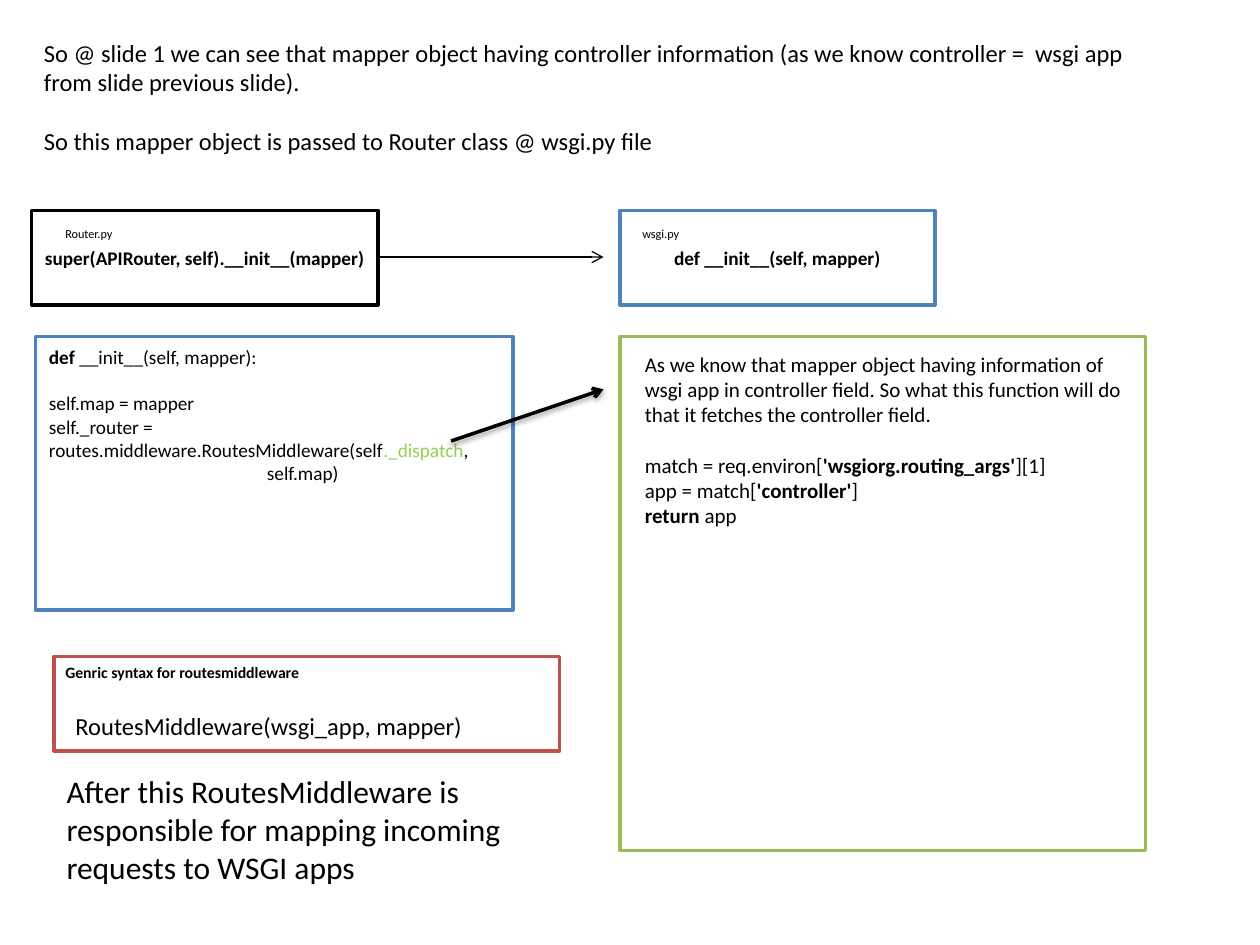
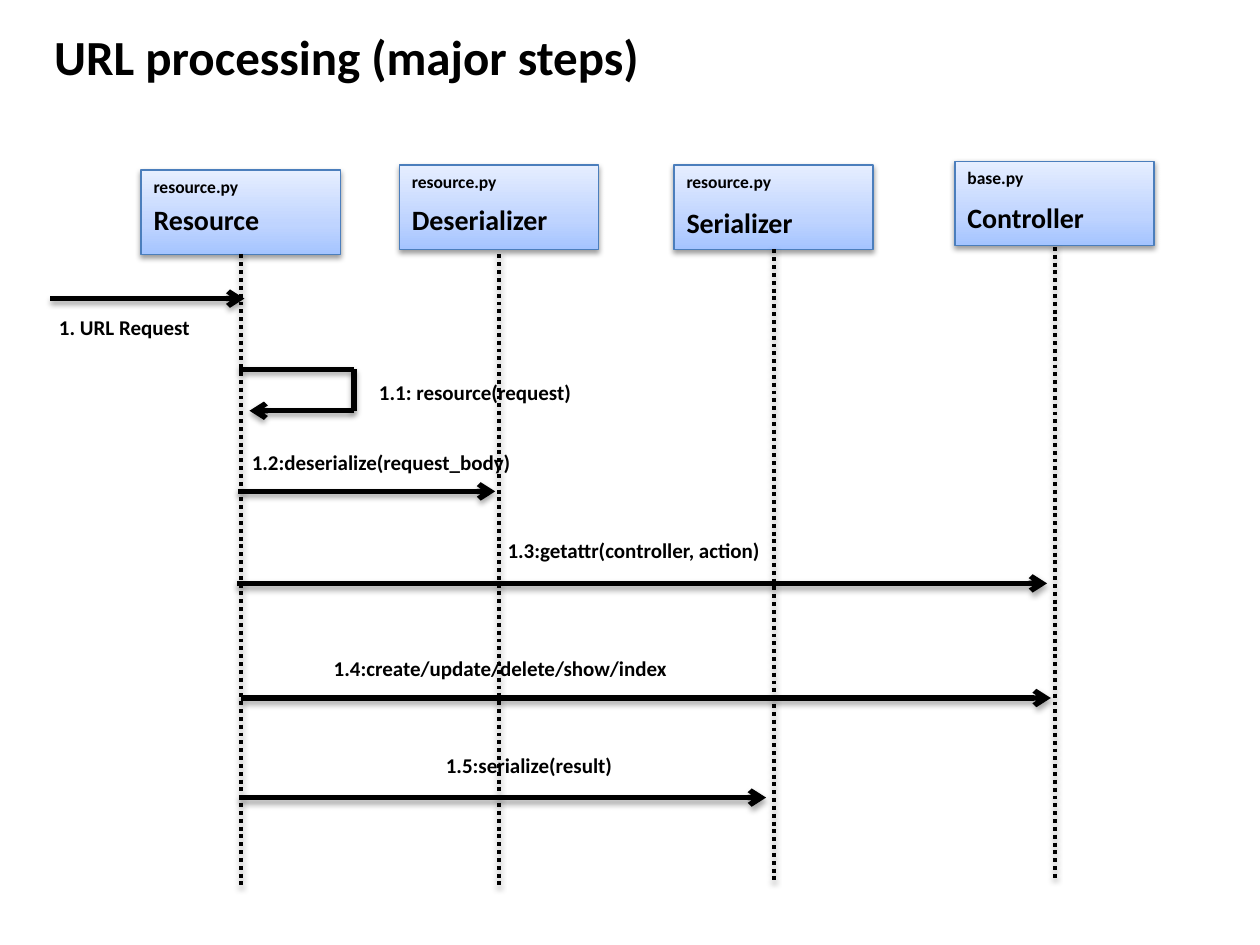
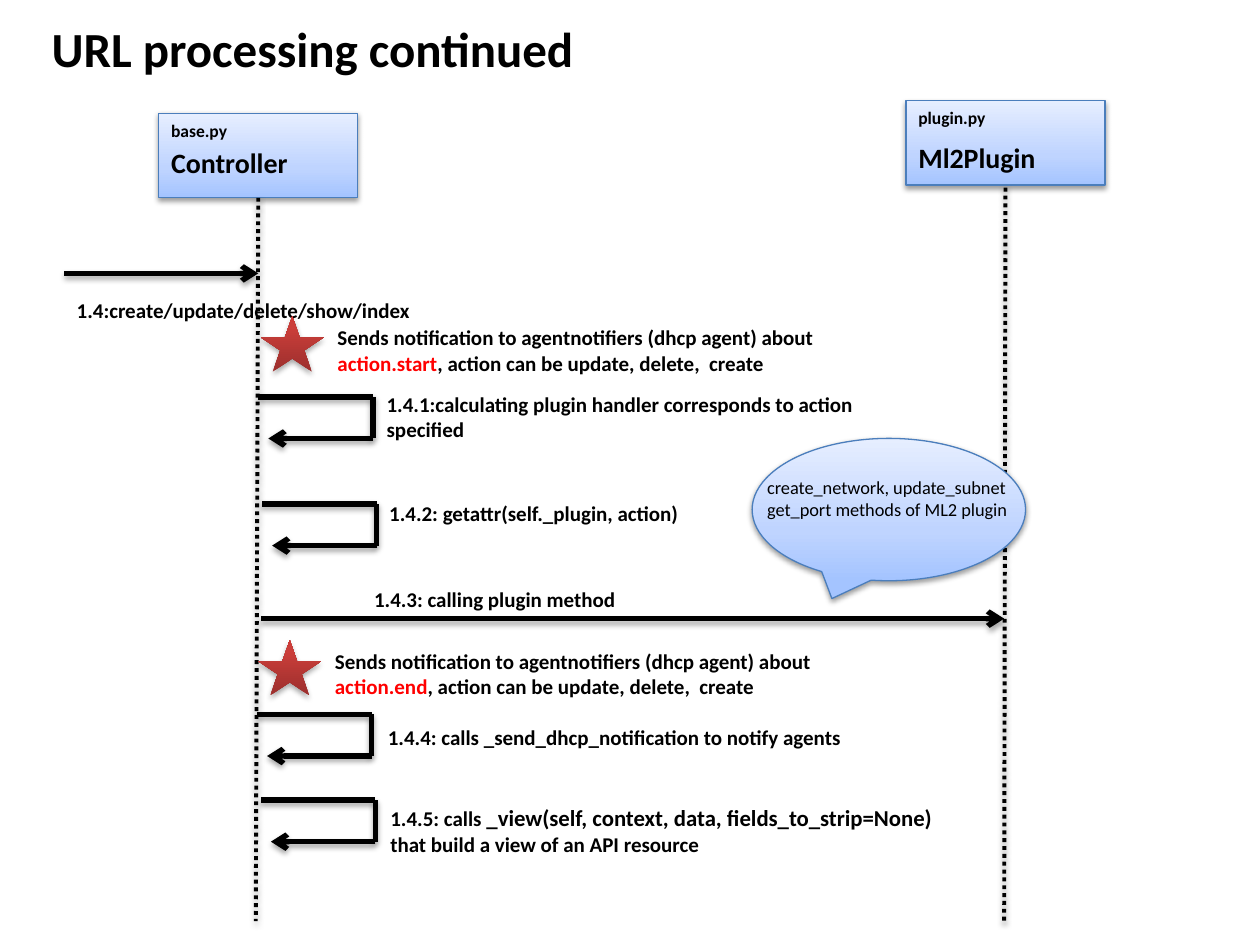
import pptx
import pptx.util
import pptx.dml.color
import pptx.enum.dml
import pptx.enum.shapes
import pptx.enum.text
import pptx.oxml.ns
from lxml import etree

Inches = pptx.util.Inches
Pt = pptx.util.Pt
qn = pptx.oxml.ns.qn
KIND = pptx.enum.shapes.MSO_SHAPE
ALIGN = pptx.enum.text.PP_ALIGN
ANCHOR = pptx.enum.text.MSO_ANCHOR
FIT = pptx.enum.text.MSO_AUTO_SIZE

FONT = "Calibri"
COLORS = {
    "ink": "000000", "paper": "FFFFFF", "blue": "4F81BD", "edge": "4B7EBC",
    "green": "9BBB59", "red": "C0504D", "lime": "92D050", "alert": "FF0000",
}
SKY = [(0, "A4C4FF"), (35, "BFD4FF"), (100, "E6EEFF")]
RUBY = [(0, "9C2F2D"), (80, "CB3E3A"), (100, "CE3B37")]
SOFT = (38, 20000)    # shadow opacity in percent, distance in EMU
HEAVY = (35, 23000)


def color(name):
    return pptx.dml.color.RGBColor.from_string(COLORS[name])


class Deck:
    def __init__(self):
        self.prs = pptx.Presentation()
        self.prs.slide_width = Inches(10)
        self.prs.slide_height = Inches(7.5)
        self.slide = None

    def page(self, title=None, x=0, y=0, w=0):
        layout = self.prs.slide_layouts[5 if title else 6]
        self.slide = self.prs.slides.add_slide(layout)
        if title:
            head = self.slide.shapes.title
            head.left, head.top = Inches(x), Inches(y)
            head.width, head.height = Inches(w), Inches(0.57)
            self.fill_text(head.text_frame, [title], 28, True)
            head.text_frame.word_wrap = False

    def fill_text(self, frame, lines, size, bold=False, align=ALIGN.LEFT, anchor=ANCHOR.TOP):
        """Fill a frame; a line is a string or a list of (text, changes)."""
        frame.word_wrap = True
        frame.vertical_anchor = anchor
        if anchor == ANCHOR.TOP:
            frame.auto_size = FIT.SHAPE_TO_FIT_TEXT
        for i, line in enumerate(lines):
            para = frame.add_paragraph() if i else frame.paragraphs[0]
            para.alignment = align
            if isinstance(line, str):
                line = [(line, {})]
            for words, look in line:
                run = para.add_run()
                run.text = words
                run.font.name = FONT
                run.font.size = Pt(look.get("size", size))
                run.font.bold = look.get("bold", bold)
                run.font.color.rgb = color(look.get("color", "ink"))

    def text(self, x, y, w, h, lines, size=12, bold=False):
        box = self.slide.shapes.add_textbox(Inches(x), Inches(y), Inches(w), Inches(h))
        self.fill_text(box.text_frame, lines, size, bold)
        return box.text_frame.paragraphs

    def label(self, x, y, w, words, h=0.3):
        self.text(x, y, w, h, [words], 12, True)

    def shade(self, item, look):
        """Replace the theme shadow by the given one, or by none."""
        props = item._element.spPr
        fx = props.find(qn("a:effectLst"))
        if fx is None:
            fx = etree.SubElement(props, qn("a:effectLst"))
        if look:
            alpha, dist = look
            drop = etree.SubElement(fx, qn("a:outerShdw"), blurRad="40000",
                                    dist=str(dist), dir="5400000", rotWithShape="0")
            tone = etree.SubElement(drop, qn("a:srgbClr"), val=COLORS["ink"])
            etree.SubElement(tone, qn("a:alpha"), val=str(alpha * 1000))

    def shape(self, kind, x, y, w, h, edge=None, width=0.75, stops=None, shadow=None):
        item = self.slide.shapes.add_shape(kind, Inches(x), Inches(y), Inches(w), Inches(h))
        item.shadow.inherit = False
        if stops:
            item.fill.gradient()
            item.fill.gradient_angle = 90
            ramp = item._element.spPr.find(".//" + qn("a:gsLst"))
            for old in list(ramp):
                ramp.remove(old)
            for pos, tone in stops:
                stop = etree.SubElement(ramp, qn("a:gs"), pos=str(pos * 1000))
                etree.SubElement(stop, qn("a:srgbClr"), val=tone)
        else:
            item.fill.solid()
            item.fill.fore_color.rgb = color("paper")
        if edge:
            item.line.color.rgb = color(edge)
            item.line.width = Pt(width)
        else:
            item.line.fill.background()
        self.shade(item, shadow)
        return item

    def frame(self, x, y, w, h, edge, words=None):
        item = self.shape(KIND.RECTANGLE, x, y, w, h, edge, 2)
        if words:
            self.fill_text(item.text_frame, [words], 11, True, ALIGN.CENTER, ANCHOR.MIDDLE)

    def line(self, x1, y1, x2, y2, width=3, arrow=True, dots=False, shadow=HEAVY):
        item = self.slide.shapes.add_connector(
            pptx.enum.shapes.MSO_CONNECTOR.STRAIGHT,
            Inches(x1), Inches(y1), Inches(x2), Inches(y2))
        item.line.color.rgb = color("ink")
        item.line.width = Pt(width)
        if dots:
            item.line.dash_style = pptx.enum.dml.MSO_LINE.ROUND_DOT
        if arrow:
            outline = item._element.spPr.find(qn("a:ln"))
            etree.SubElement(outline, qn("a:tailEnd"), type="arrow")
        self.shade(item, shadow)

    def actor(self, x, y, file, name, drop, life):
        """Header box with its file, its name and a dotted lifeline."""
        self.shape(KIND.RECTANGLE, x, y, 1.58, 0.67, "edge", stops=SKY, shadow=SOFT)
        self.text(x, y, 1.08, 0.27, [file], 10, True)
        self.text(x, y + drop, 1.58, 0.37, [name], 16, True)
        self.line(*life, width=2.25, arrow=False, dots=True, shadow=SOFT)

    def loop(self, x, y):
        """Call of an object to itself."""
        right, low = x + 0.91, y + 0.33
        self.line(x, y, right, y, arrow=False)
        self.line(right, y, right, low, arrow=False)
        self.line(right, low, x + 0.08, low)

    def notice(self, x, y, event):
        self.shape(KIND.STAR_5_POINT, x, y, 0.5, 0.44, stops=RUBY, shadow=HEAVY)
        self.text(x + 0.51, y + 0.02, 4.38, 0.5, [[
            ("Sends notification to agentnotifiers (dhcp agent) about ", {}),
            (event, {"color": "alert"}),
            (", action can be update, delete,  create", {})]], 12, True)


deck = Deck()
BOLD = {"bold": True}

# Slide 1: the mapper goes to the router
deck.page()
paras = deck.text(0.25, 0.25, 9.08, 1.04, [
    "So @ slide 1 we can see that mapper object having controller information "
    "(as we know controller =  wsgi app from slide previous slide).",
    "So this mapper object is passed to Router class @ wsgi.py file"], 14)
paras[1].space_before = Pt(17)

# Caller and callee
deck.frame(0.25, 1.67, 2.75, 0.75, "ink", "super(APIRouter, self).__init__(mapper) ")
deck.text(0.42, 1.75, 1.5, 0.22, ["Router.py"], 7)
deck.frame(4.92, 1.67, 2.5, 0.75, "blue", "def __init__(self, mapper)")
deck.text(5, 1.75, 1.5, 0.22, ["wsgi.py"], 7)
deck.line(3, 2.04, 4.79, 2.04, width=0.75, shadow=None)

# Constructor code
deck.frame(0.28, 2.67, 3.79, 2.17, "blue")
paras = deck.text(0.29, 2.69, 3.54, 1.21, [
    [("def ", BOLD), ("__init__(self, mapper):", {})],
    "self.map = mapper",
    [("self._router = routes.middleware.RoutesMiddleware(self", {}),
     ("._dispatch", {"color": "lime"}), (",", {})],
    "self.map)"], 11)
paras[1].space_before = Pt(13.4)
paras[3]._p.get_or_add_pPr().set("marL", str(Inches(1.73)))

# What the dispatch function does
deck.frame(4.92, 2.67, 4.17, 4.08, "green")
deck.line(3.58, 3.5, 4.79, 3.09, width=2, shadow=SOFT)
paras = deck.text(5.02, 2.74, 4, 1.51, [
    "As we know that mapper object having information of wsgi app in controller field. "
    "So what this function will do that it fetches the controller field.",
    [("match = req.environ[", {}), ("'wsgiorg.routing_args'", BOLD), ("][1]", {})],
    [("app = match[", {}), ("'controller'", BOLD), ("]", {})],
    [("return ", BOLD), ("app ", {})]])
paras[1].space_before = Pt(14.6)

# Generic syntax
deck.text(0.43, 6.08, 4, 1.01, [
    "After this RoutesMiddleware is responsible for mapping incoming requests to WSGI apps"], 18)
deck.frame(0.43, 5.21, 4.01, 0.75, "red")
deck.text(0.5, 5.59, 3.69, 0.34, ["RoutesMiddleware(wsgi_app, mapper)"], 14)
deck.text(0.42, 5.21, 3.17, 0.25, ["Genric syntax for routesmiddleware"], 9, True)

# Slide 2: sequence of the major steps
deck.page("URL processing (major steps)", 0.33, 0.16, 4.89)
for x, y, file, name, drop, start in [
        (1.12, 1.35, "resource.py", "Resource", 0.21, 2.02),
        (3.17, 1.31, "resource.py", "Deserializer ", 0.25, 2.02),
        (5.35, 1.31, "resource.py", "Serializer ", 0.27, 1.98),
        (7.58, 1.28, "base.py", "Controller", 0.26, 1.96)]:
    mid = x + 0.79
    deck.actor(x, y, file, name, drop, (mid, start, mid, start + 5.02))

# Messages
for x1, x2, y in [(0.4, 1.94, 2.37), (1.89, 3.93, 3.9), (1.88, 8.31, 4.63),
                  (1.91, 8.34, 5.54), (1.9, 6.08, 6.33)]:
    deck.line(x1, y, x2, y)
deck.loop(1.9, 2.93)
for x, y, w, words in [
        (0.37, 2.45, 2.33, "1. URL Request"),
        (2.91, 2.96, 2.33, "1.1: resource(request)"),
        (1.9, 3.52, 2.33, "1.2:deserialize(request_body)"),
        (3.93, 4.22, 2.33, "1.3:getattr(controller, action)"),
        (2.55, 5.15, 3.71, "1.4:create/update/delete/show/index"),
        (3.44, 5.92, 3.71, "1.5:serialize(result)")]:
    deck.label(x, y, w, words)

# Slide 3: from the controller to the plugin
deck.page("URL processing continued", 0.31, 0.1, 4.39)
deck.actor(1.26, 0.9, "base.py", "Controller", 0.21, (2.05, 1.57, 2.03, 7.31))
deck.actor(7.19, 0.8, "plugin.py", "Ml2Plugin", 0.27, (7.98, 1.49, 7.97, 7.31))

# Messages
deck.line(0.51, 2.17, 2.05, 2.17)
deck.line(2.07, 4.91, 7.97, 4.91)
for x, y in [(2.05, 3.15), (2.08, 4), (2.04, 5.67), (2.07, 6.35)]:
    deck.loop(x, y)
deck.label(0.51, 2.31, 3.71, "1.4:create/update/delete/show/index")
deck.label(2.97, 3.06, 4.38,
           "1.4.1:calculating plugin handler corresponds to action specified ", 0.5)
deck.label(2.99, 3.92, 4.38, "1.4.2: getattr(self._plugin, action) ")
deck.label(2.87, 4.61, 4.38, "1.4.3: calling plugin method ")
deck.label(2.98, 5.7, 4.38, "1.4.4: calls _send_dhcp_notification to notify agents")
deck.text(3, 6.33, 4.56, 0.72, [
    [("1.4.5: calls ", {}),
     ("_view(self, context, data, fields_to_strip=None)", {"size": 13})],
    "that build a view of an API resource"], 12, True)

# Callout with sample methods
deck.shape(KIND.OVAL_CALLOUT, 5.97, 3.48, 2.17, 1.13, "edge", stops=SKY, shadow=SOFT)
deck.text(5.99, 3.73, 2.28, 0.63, [
    "create_network, update_subnet", "get_port methods of ML2 plugin"], 10.5)

# Notifications
deck.notice(2.07, 2.51, "action.start")
deck.notice(2.05, 5.08, "action.end")

deck.prs.save("out.pptx")
